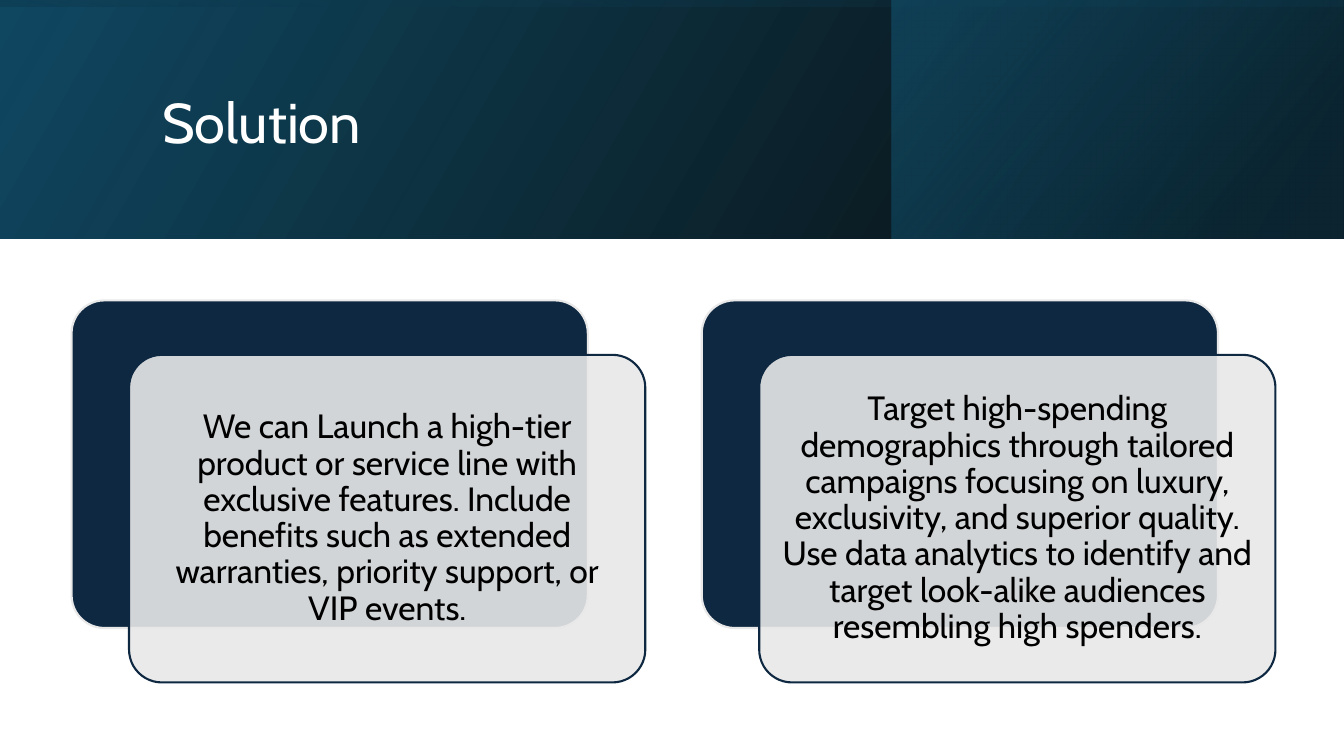
from lxml.etree import SubElement
from pptx import Presentation
from pptx.dml.color import RGBColor
from pptx.enum.shapes import MSO_SHAPE
from pptx.enum.text import MSO_ANCHOR, PP_ALIGN
from pptx.oxml.ns import qn
from pptx.util import Inches, Pt

FONT = "Cabin"
COLORS = {
    "black": "000000",
    "white": "FFFFFF",
    "blue": "104862",
    "deep_teal": "0B3041",
    "teal": "156082",
    "navy": "0E2841",
    "grey": "E8E8E8",
}
BAND_H = 2.37
CARD_W, CARD_H = 5.12, 3.25
CARD_X, CARD_Y, CARD_PITCH = 0.71, 2.98, 6.25
PANEL_DX, PANEL_DY = 0.57, 0.54
TEXT_PAD = 0.1

# Left, top, width, height, rotation, gradient angle, stops (position, colour, opacity)
BANDS = [
    (0, 0, 13.33, BAND_H, 0, 330, [(0, "black", 96), (1, "blue", 100)]),
    (8.84, 0, 4.48, BAND_H, 0, 320, [(0.19, "deep_teal", 68), (1, "teal", 48)]),
    (5.48, -5.48, BAND_H, 13.33, 270, 350, [(0.23, "blue", 16), (0.99, "black", 45)]),
]
SOLUTIONS = [
    "We can Launch a high-tier product or service line with exclusive features. "
    "Include benefits such as extended warranties, priority support, or VIP events.",
    "Target high-spending demographics through tailored campaigns focusing on luxury, "
    "exclusivity, and superior quality. Use data analytics to identify and target "
    "look-alike audiences resembling high spenders.",
]


def rgb(name):
    return RGBColor.from_string(COLORS[name])


def set_opacity(sp, percents):
    """Apply opacities to the explicit colours of a shape, in order."""
    for clr, percent in zip(list(sp.element.iter(qn("a:srgbClr"))), percents):
        if percent < 100:
            SubElement(clr, qn("a:alpha")).set("val", str(percent * 1000))


def add_run(p, text, size, color):
    r = p.add_run()
    r.text = text
    r.font.name = FONT
    r.font.size = Pt(size)
    r.font.color.rgb = rgb(color)


def add_band(shapes, x, y, w, h, rotation, angle, stops):
    sp = shapes.add_shape(MSO_SHAPE.RECTANGLE, Inches(x), Inches(y), Inches(w), Inches(h))
    sp.shadow.inherit = False
    sp.line.fill.background()
    sp.rotation = rotation
    sp.element.spPr.find(qn("a:xfrm")).set("flipH", "1")
    sp.fill.gradient()
    sp.fill.gradient_angle = 360 - angle  # python-pptx counts counter-clockwise
    for stop, (position, color, _) in zip(sp.fill.gradient_stops, stops):
        stop.position = position
        stop.color.rgb = rgb(color)
    set_opacity(sp, [opacity for _, _, opacity in stops])


def add_title(s, text):
    title = s.shapes.title
    title.left, title.top = Inches(1.51), Inches(0.38)
    title.width, title.height = Inches(10.63), Inches(1.72)
    tf = title.text_frame
    tf.vertical_anchor = MSO_ANCHOR.MIDDLE
    p = tf.paragraphs[0]
    p.alignment = PP_ALIGN.LEFT
    p.line_spacing = 0.9
    add_run(p, text, 40, "white")
    # Bring the title in front of the bands
    title.element.getparent().append(title.element)


def add_panel(shapes, x, y, fill, line, opacity=100):
    sp = shapes.add_shape(MSO_SHAPE.ROUNDED_RECTANGLE, Inches(x), Inches(y),
                          Inches(CARD_W), Inches(CARD_H))
    sp.adjustments[0] = 0.1
    sp.shadow.inherit = False
    sp.fill.solid()
    sp.fill.fore_color.rgb = rgb(fill)
    set_opacity(sp, [opacity])
    sp.line.color.rgb = rgb(line)
    sp.line.width = Pt(1.5)


def add_card_text(shapes, x, y, text):
    box = shapes.add_textbox(Inches(x + TEXT_PAD), Inches(y + TEXT_PAD),
                             Inches(CARD_W - 2 * TEXT_PAD), Inches(CARD_H - 2 * TEXT_PAD))
    tf = box.text_frame
    tf.word_wrap = True
    tf.vertical_anchor = MSO_ANCHOR.MIDDLE
    tf.margin_left = tf.margin_right = tf.margin_top = tf.margin_bottom = Inches(0.1)
    p = tf.paragraphs[0]
    p.alignment = PP_ALIGN.CENTER
    p.line_spacing = 0.9
    add_run(p, text, 24, "black")


def add_card(shapes, x, y, text):
    add_panel(shapes, x, y, "navy", "grey")
    x, y = x + PANEL_DX, y + PANEL_DY
    add_panel(shapes, x, y, "grey", "navy", 90)
    add_card_text(shapes, x, y, text)


def main():
    prs = Presentation()
    prs.slide_width, prs.slide_height = Inches(13.33), Inches(7.5)
    s = prs.slides.add_slide(prs.slide_layouts[5])

    # Header
    for band in BANDS:
        add_band(s.shapes, *band)
    add_title(s, "Solution")

    # Solution cards
    group = s.shapes.add_group_shape()
    for i, text in enumerate(SOLUTIONS):
        add_card(group.shapes, CARD_X + i * CARD_PITCH, CARD_Y, text)

    prs.save("out.pptx")


if __name__ == "__main__":
    main()
